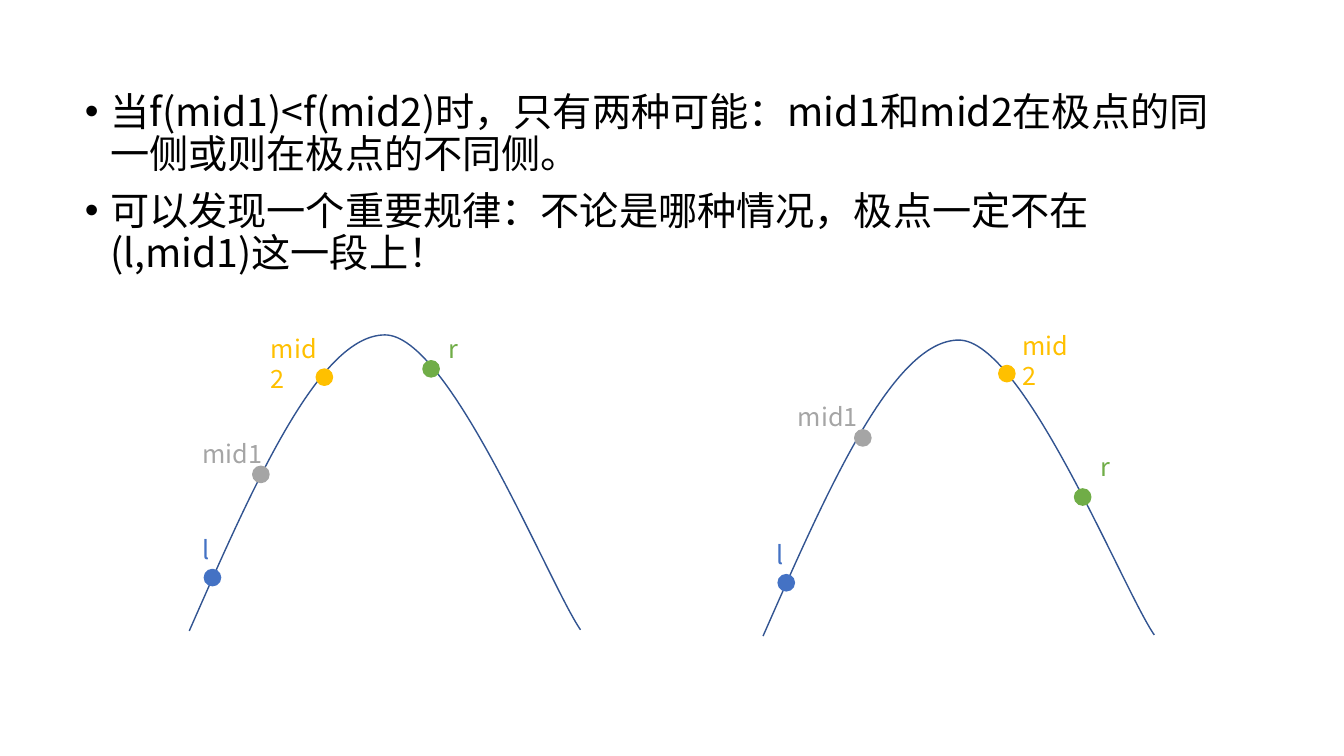
from dataclasses import dataclass

from lxml import etree
from pptx import Presentation
from pptx.dml.color import RGBColor
from pptx.enum.shapes import MSO_SHAPE
from pptx.enum.text import MSO_AUTO_SIZE
from pptx.oxml.ns import qn
from pptx.util import Cm, Pt

OVAL = MSO_SHAPE.OVAL
GROW = MSO_AUTO_SIZE.SHAPE_TO_FIT_TEXT


@dataclass
class Theme:
    font: str = "Noto Sans CJK SC"
    body_size: int = 28
    label_size: int = 18
    text: str = "000000"
    curve: str = "325491"
    left: str = "4472C4"
    mid1: str = "A5A5A5"
    mid2: str = "FFC000"
    right: str = "70AD47"


theme = Theme()


def format_text(para, size, color):
    for span in para.runs:
        span.font.name = theme.font
        span.font.size = Pt(size)
        span.font.color.rgb = RGBColor.from_string(color)
        east_asian = etree.SubElement(span.font._element, qn("a:ea"))
        east_asian.set("typeface", theme.font)


def bend_segments(shape):
    """Turn every three straight segments into one cubic curve."""
    outline = next(shape._element.iter(qn("a:path")))
    segments = outline.findall(qn("a:lnTo"))
    for first in range(0, len(segments), 3):
        cubic = etree.SubElement(outline, qn("a:cubicBezTo"))
        for segment in segments[first:first + 3]:
            cubic.append(segment[0])
            outline.remove(segment)


deck = Presentation()
deck.slide_width, deck.slide_height = Cm(33.87), Cm(19.05)
page = deck.slides.add_slide(deck.slide_layouts[6])

# Bulleted explanation
statements = [
    "当f(mid1)<f(mid2)时，只有两种可能：mid1和mid2在极点的同一侧或则在极点的不同侧。",
    "可以发现一个重要规律：不论是哪种情况，极点一定不在(l,mid1)这一段上！",
]
box = page.shapes.add_textbox(Cm(1.89), Cm(2.21), Cm(29.21), Cm(12.09))
frame = box.text_frame
frame.word_wrap = True
frame.text = "\n".join(statements)
for para in frame.paragraphs:
    para.line_spacing = 0.9
    para.space_before = Pt(10)
    properties = para._p.get_or_add_pPr()
    properties.set("marL", str(Cm(0.64)))
    properties.set("indent", str(-Cm(0.64)))
    etree.SubElement(properties, qn("a:buFont")).set("typeface", "Arial")
    etree.SubElement(properties, qn("a:buChar")).set("char", "•")
    format_text(para, theme.body_size, theme.text)

# One hill, in cm from its left foot: two cubic curves that meet at the peak
hill = [
    (0, 0),
    (1.64, -3.73), (3.28, -7.45), (4.93, -7.46),
    (6.56, -7.47), (9.07, -1.17), (9.86, -0.03),
]

# Points: name -> color and label width
points = {
    "l": (theme.left, 1.55),
    "r": (theme.right, 1.55),
    "mid1": (theme.mid1, 2.13),
    "mid2": (theme.mid2, 1.9),
}
dot_size = 0.41

# Each case: foot of the hill, then dot and label corners per point
cases = [
    ((4.77, 15.9), {
        "l": ((5.15, 14.35), (4.85, 13.34)),
        "r": ((10.66, 9.09), (11.06, 8.28)),
        "mid1": ((6.37, 11.75), (4.85, 10.92)),
        "mid2": ((7.97, 9.3), (6.58, 8.27)),
    }),
    ((19.23, 16.03), {
        "l": ((19.61, 14.48), (19.33, 13.46)),
        "r": ((27.08, 12.32), (27.48, 11.24)),
        "mid1": ((21.54, 10.83), (19.86, 9.98)),
        "mid2": ((25.17, 9.21), (25.51, 8.2)),
    }),
]

for (foot_x, foot_y), places in cases:
    # Curve
    outline = [(Cm(foot_x + x), Cm(foot_y + y)) for x, y in hill]
    builder = page.shapes.build_freeform(*outline[0])
    builder.add_line_segments(outline[1:], close=False)
    curve = builder.convert_to_shape()
    bend_segments(curve)
    curve.shadow.inherit = False
    curve.fill.background()
    curve.line.color.rgb = RGBColor.from_string(theme.curve)
    curve.line.width = Pt(1)

    # Dots
    for name, (dot_at, label_at) in places.items():
        color, label_width = points[name]
        dot = page.shapes.add_shape(OVAL, *map(Cm, dot_at), Cm(dot_size), Cm(dot_size))
        dot.shadow.inherit = False
        dot.fill.solid()
        dot.fill.fore_color.rgb = RGBColor.from_string(color)
        dot.line.color.rgb = RGBColor.from_string(color)
        dot.line.width = Pt(1)

        # Label of the dot
        label = page.shapes.add_textbox(*map(Cm, label_at), Cm(label_width), Cm(1.02))
        label.text_frame.word_wrap = True
        label.text_frame.auto_size = GROW
        label.text_frame.text = name
        format_text(label.text_frame.paragraphs[0], theme.label_size, color)

deck.save("out.pptx")
